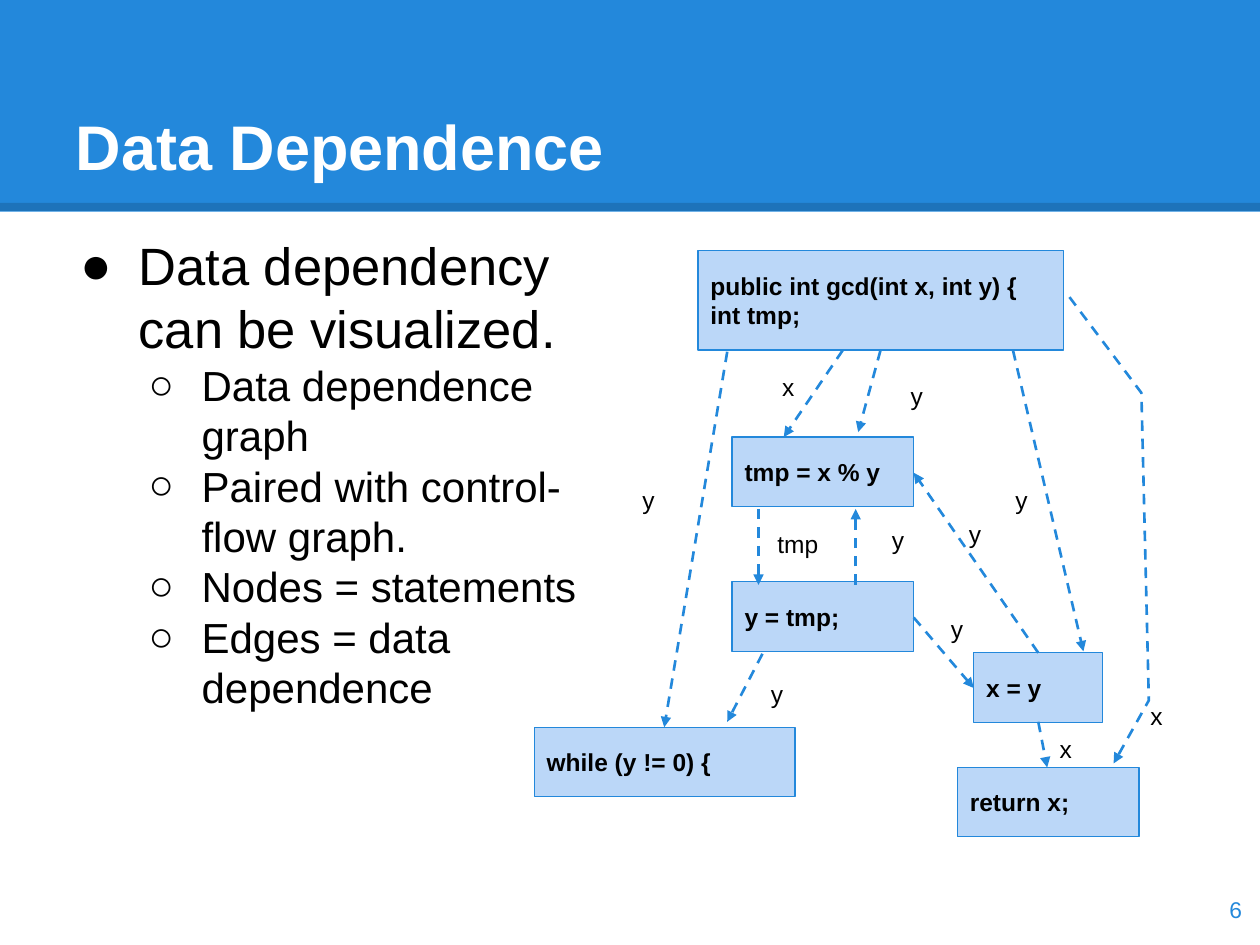
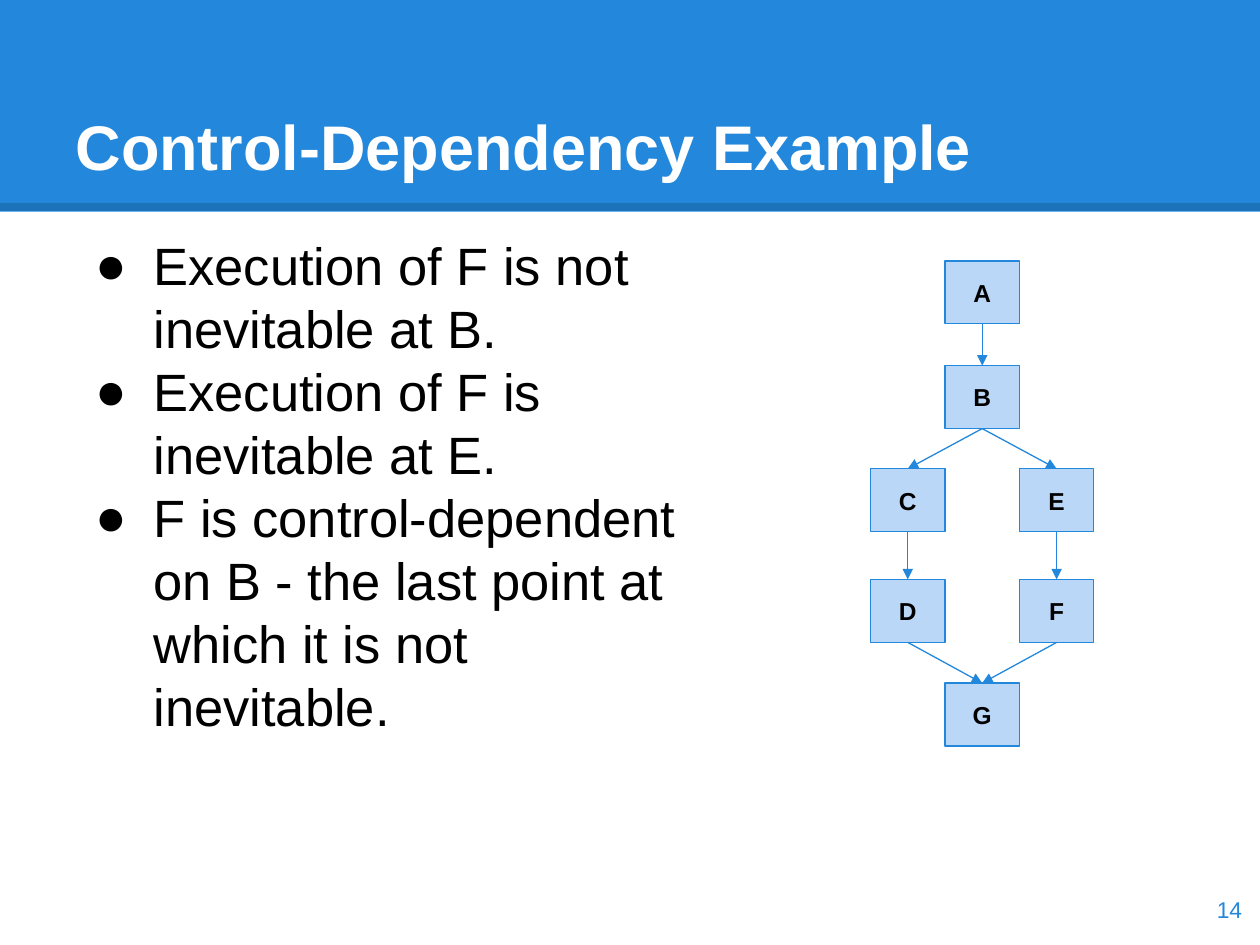
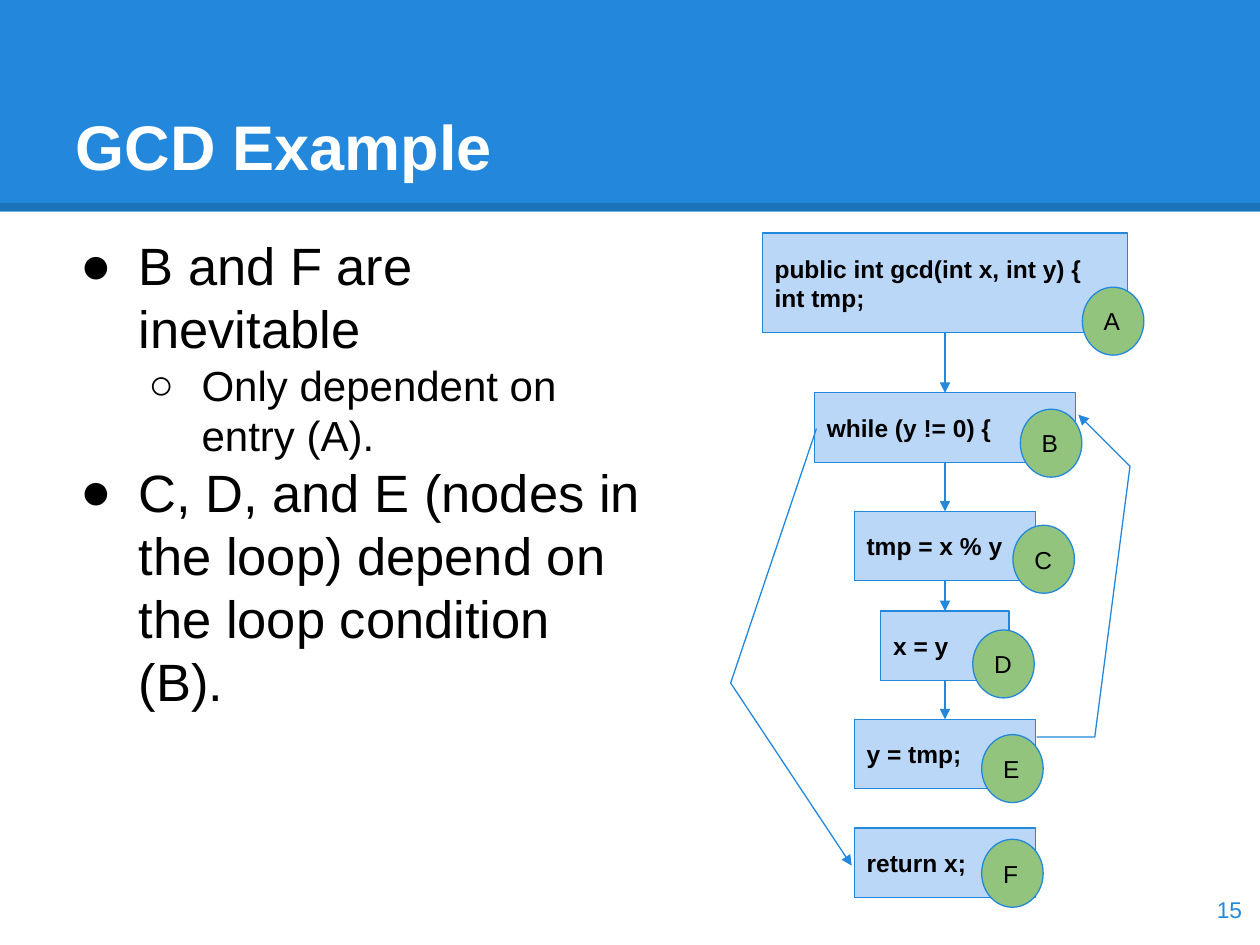
"""Build three slides on data and control dependence."""
import itertools

import lxml.etree
import pptx
import pptx.dml.color
import pptx.enum.dml
import pptx.enum.shapes
import pptx.enum.text
import pptx.oxml.ns
import pptx.util

Cm = pptx.util.Cm
Pt = pptx.util.Pt
SHAPE = pptx.enum.shapes.MSO_SHAPE
ANCHOR = pptx.enum.text.MSO_ANCHOR
ALIGN = pptx.enum.text.PP_ALIGN
qn = pptx.oxml.ns.qn

FONT = "Arial"
BLUE, PALE_BLUE, GREEN = "2388DB", "BBD7F8", "93C47D"
BLACK, WHITE = "000000", "FFFFFF"
SLIDE_WIDTH, SLIDE_HEIGHT = 25.4, 19.05
INSET = 0.254
LEVELS = [
    {"bullet": "●", "size": 30, "margin": 1.27, "hanging": 1.17},
    {"bullet": "○", "size": 24, "margin": 2.54, "hanging": 1.07},
]

ENTRY = "public int gcd(int x, int y) {\nint tmp;"
STATEMENT_SIZES = {
    ENTRY: (7.37, 2.01),
    "while (y != 0) {": (5.26, 1.4),
    "tmp = x % y": (3.66, 1.4),
    "x = y": (2.59, 1.4),
    "y = tmp;": (3.66, 1.4),
    "return x;": (3.66, 1.4),
}

DATA_DEPENDENCE = {
    "title": "Data Dependence",
    "number": "6",
    "body": (1.27, 11.1),
    "points": [
        (0, "Data dependency can be visualized."),
        (1, "Data dependence graph"),
        (1, "Paired with control-flow graph."),
        (1, "Nodes = statements"),
        (1, "Edges = data dependence"),
    ],
}
STATEMENT_PLACES = {
    ENTRY: (14.07, 5.05),
    "tmp = x % y": (14.76, 8.81),
    "y = tmp;": (14.76, 11.73),
    "while (y != 0) {": (10.77, 14.66),
    "x = y": (19.63, 13.16),
    "return x;": (19.3, 15.47),
}
VARIABLE_SIZES = {"x": (0.99, 0.94), "y": (0.99, 0.94), "tmp": (1.73, 0.56)}
DEPENDENCES = [
    ("x", (15.52, 7.24), [(16.99, 7.06), (15.8, 8.81)]),
    ("y", (18.11, 7.42), [(17.75, 7.06), (17.3, 8.71)]),
    ("y", (17.73, 10.34), [(17.25, 11.79), (17.25, 10.26)]),
    ("tmp", (15.42, 10.41), [(15.29, 10.26), (15.29, 11.79)]),
    ("y", (12.7, 9.53), [(14.66, 7.09), (13.39, 14.66)]),
    ("y", (15.29, 13.44), [(15.37, 13.18), (14.66, 14.55)]),
    ("y", (18.92, 12.12), [(18.42, 12.45), (19.63, 13.87)]),
    ("y", (19.28, 10.21), [(20.93, 13.16), (18.42, 9.53)]),
    ("y", (20.22, 9.53), [(20.42, 7.06), (21.84, 13.13)]),
    ("x", (21.11, 14.55), [(20.93, 14.55), (21.11, 15.47)]),
    ("x", (22.94, 13.87),
     [(21.56, 5.99), (23.01, 7.92), (23.16, 14.12), (22.45, 15.39)]),
]

CONTROL_DEPENDENCY = {
    "title": "Control-Dependency Example",
    "number": "14",
    "body": (1.57, 13),
    "points": [
        (0, "Execution of F is not inevitable at B."),
        (0, "Execution of F is inevitable at E."),
        (0, "F is control-dependent on B - the last point at which it is "
            "not inevitable."),
    ],
}
NODE_WIDTH, NODE_HEIGHT = 1.5, 1.27
MIDDLE_COLUMN = 19.05
ROW_TOPS = [5.26, 7.37, 9.45, 11.68, 13.77]
NODE_CELLS = {
    "A": (0, 0), "B": (0, 1), "C": (-1, 2), "D": (-1, 3),
    "E": (1, 2), "F": (1, 3), "G": (0, 4),
}
FLOWS = ["AB", "BC", "BE", "CD", "EF", "DG", "FG"]

GCD = {
    "title": "GCD Example",
    "number": "15",
    "body": (1.27, 11.99),
    "points": [
        (0, "B and F are inevitable"),
        (1, "Only dependent on entry (A)."),
        (0, "C, D, and E (nodes in the loop) depend on the loop condition "
            "(B)."),
    ],
}
FLOW_CENTER = 19.05
STATEMENT_TOPS = [4.7, 7.92, 10.31, 12.32, 14.5, 16.69]
BADGE_SIZE = (1.24, 1.37)
BADGES = {
    "A": (21.82, 5.79), "B": (20.57, 8.25), "C": (20.42, 10.59),
    "D": (19.61, 12.7), "E": (19.79, 14.81), "F": (19.79, 16.92),
}
LOOP_EXIT = [(16.46, 8.64), (14.73, 13.77), (17.17, 17.45)]
LOOP_BACK = [(20.9, 14.86), (22.07, 14.86), (22.78, 9.4), (21.74, 8.36)]


def color(value):
    return pptx.dml.color.RGBColor.from_string(value)


def cms(*lengths):
    return [Cm(length) for length in lengths]


def frame_text(frame, text, size, ink=BLACK, bold=False, align=ALIGN.LEFT,
               anchor=ANCHOR.TOP):
    frame.text = text
    frame.word_wrap = True
    frame.auto_size = pptx.enum.text.MSO_AUTO_SIZE.NONE
    frame.vertical_anchor = anchor
    frame.margin_left = frame.margin_right = Cm(INSET)
    frame.margin_top = frame.margin_bottom = Cm(INSET)
    for paragraph in frame.paragraphs:
        paragraph.alignment = align
        for run in paragraph.runs:
            run.font.name = FONT
            run.font.size = Pt(size)
            run.font.bold = bold
            run.font.color.rgb = color(ink)


def add_node(slide, text, place, size, kind=SHAPE.RECTANGLE, fill=PALE_BLUE,
             bold=True, align=ALIGN.LEFT):
    node = slide.shapes.add_shape(kind, *cms(*place, *size))
    node.shadow.inherit = False
    node.fill.solid()
    node.fill.fore_color.rgb = color(fill)
    node.line.color.rgb = color(BLUE)
    node.line.width = Pt(0.75)
    frame_text(node.text_frame, text, 14, bold=bold, align=align,
               anchor=ANCHOR.MIDDLE)
    return node


def add_label(slide, text, place, size, points=14, **style):
    label = slide.shapes.add_textbox(*cms(*place, *size))
    frame_text(label.text_frame, text, points, **style)


def add_straight(slide, start, end):
    return slide.shapes.add_connector(
        pptx.enum.shapes.MSO_CONNECTOR.STRAIGHT, *cms(*start, *end))


def style_line(line, ink, width):
    line.line.color.rgb = color(ink)
    line.line.width = Pt(width)
    lxml.etree.SubElement(line.element.spPr, qn("a:effectLst"))


def style_arrow(arrow, dashed=False):
    style_line(arrow, BLUE, 1.5 if dashed else 0.75)
    if dashed:
        arrow.line.dash_style = pptx.enum.dml.MSO_LINE.DASH
    outline = arrow.element.spPr.find(qn("a:ln"))
    lxml.etree.SubElement(outline, qn("a:tailEnd"), type="triangle")


def add_route(slide, stops, dashed=False):
    if len(stops) == 2:
        route = add_straight(slide, *stops)
    else:
        start, *others = [cms(*stop) for stop in stops]
        builder = slide.shapes.build_freeform(*start)
        builder.add_line_segments(others, close=False)
        route = builder.convert_to_shape()
        route.fill.background()
    style_arrow(route, dashed)


def link_down(slide, upper, lower):
    link = add_straight(slide, (0, 0), (0, 0))
    link.begin_connect(upper, 2)
    link.end_connect(lower, 0)
    style_arrow(link)


def fill_points(body, points):
    frame_text(body.text_frame, "\n".join(text for _, text in points), 30)
    for paragraph, (depth, _) in zip(body.text_frame.paragraphs, points):
        level = LEVELS[depth]
        paragraph.level = depth
        paragraph.space_before = Pt(0)
        properties = paragraph._p.get_or_add_pPr()
        properties.set("marL", str(Cm(level["margin"])))
        properties.set("indent", str(-Cm(level["hanging"])))
        ink = lxml.etree.SubElement(properties, qn("a:buClr"))
        lxml.etree.SubElement(ink, qn("a:srgbClr"), val=BLACK)
        lxml.etree.SubElement(properties, qn("a:buChar"),
                              char=level["bullet"])
        for run in paragraph.runs:
            run.font.size = Pt(level["size"])


def place_at(shape, left, top, width, height):
    shape.left, shape.top, shape.width, shape.height = cms(
        left, top, width, height)


def add_content_slide(deck, content):
    slide = deck.slides.add_slide(deck.slide_layouts[1])
    title, body = slide.placeholders
    place_at(title, 1.27, 0.76, 22.86, 3.18)
    frame_text(title.text_frame, content["title"], 36, WHITE, bold=True,
               anchor=ANCHOR.BOTTOM)
    left, width = content["body"]
    place_at(body, left, 4.45, width, 13.79)
    fill_points(body, content["points"])
    return slide


def add_number(slide, content):
    add_label(slide, content["number"], (23.77, 17.6), (1.52, 1.45), 13,
              ink=BLUE, align=ALIGN.RIGHT, anchor=ANCHOR.MIDDLE)


def move_band_to_layout(slide):
    """Draw the title band and keep it on the layout all slides share."""
    layout = slide.slide_layout
    for footer in list(layout.placeholders)[2:]:
        footer.element.getparent().remove(footer.element)
    band = slide.shapes.add_shape(SHAPE.RECTANGLE,
                                  *cms(0, 0, SLIDE_WIDTH, 4.27))
    band.shadow.inherit = False
    band.fill.solid()
    band.fill.fore_color.rgb = color(BLUE)
    band.line.fill.background()
    edge = add_straight(slide, (0, 4.17), (SLIDE_WIDTH, 4.17))
    style_line(edge, BLACK, 4.5)
    ink = edge.element.spPr.find(".//" + qn("a:srgbClr"))
    lxml.etree.SubElement(ink, qn("a:alpha"), val="15000")
    for position, part in enumerate([band, edge], start=2):
        layout.shapes.element.insert(position, part.element)


def draw_data_dependence(slide):
    for statement, place in STATEMENT_PLACES.items():
        add_node(slide, statement, place, STATEMENT_SIZES[statement])
    for variable, place, stops in DEPENDENCES:
        add_route(slide, stops, dashed=True)
        add_label(slide, variable, place, VARIABLE_SIZES[variable])


def draw_control_dependency(slide):
    nodes = {}
    for name, (column, row) in NODE_CELLS.items():
        place = (MIDDLE_COLUMN + column * NODE_WIDTH, ROW_TOPS[row])
        nodes[name] = add_node(slide, name, place, (NODE_WIDTH, NODE_HEIGHT),
                               align=ALIGN.CENTER)
    for upper, lower in FLOWS:
        link_down(slide, nodes[upper], nodes[lower])


def draw_gcd(slide):
    statements = [
        add_node(slide, statement, (FLOW_CENTER - size[0] / 2, top), size)
        for (statement, size), top in zip(STATEMENT_SIZES.items(),
                                          STATEMENT_TOPS)
    ]
    for upper, lower in itertools.pairwise(statements[:-1]):
        link_down(slide, upper, lower)
    for name, place in BADGES.items():
        add_node(slide, name, place, BADGE_SIZE, SHAPE.OVAL, GREEN,
                 bold=False)
    add_route(slide, LOOP_EXIT)
    add_route(slide, LOOP_BACK)


def main():
    deck = pptx.Presentation()
    deck.slide_width, deck.slide_height = cms(SLIDE_WIDTH, SLIDE_HEIGHT)
    drawings = [
        (DATA_DEPENDENCE, draw_data_dependence),
        (CONTROL_DEPENDENCY, draw_control_dependency),
        (GCD, draw_gcd),
    ]
    for content, draw in drawings:
        slide = add_content_slide(deck, content)
        if len(deck.slides) == 1:
            move_band_to_layout(slide)
        draw(slide)
        add_number(slide, content)
    deck.save("out.pptx")


if __name__ == "__main__":
    main()
